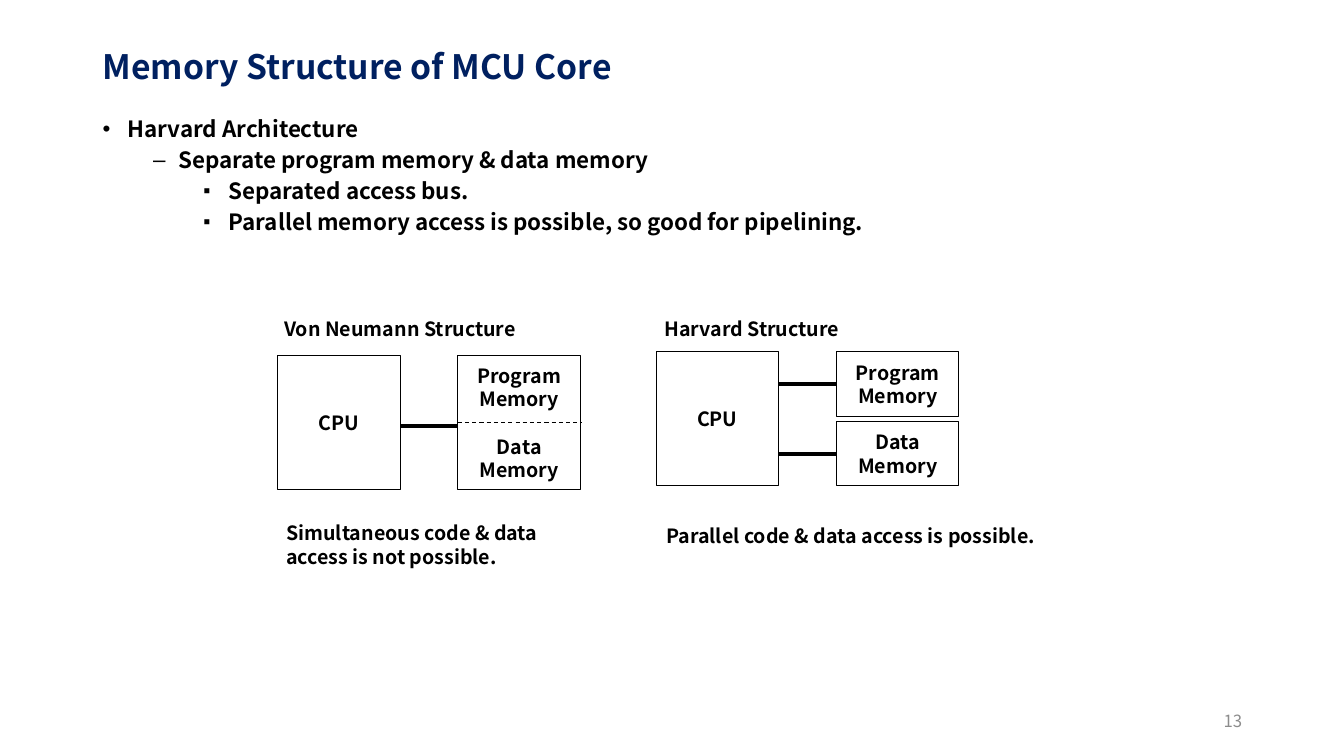
from dataclasses import dataclass
from lxml.etree import SubElement
from pptx import Presentation
from pptx.dml.color import RGBColor
from pptx.enum.dml import MSO_LINE
from pptx.enum.shapes import MSO_CONNECTOR, MSO_SHAPE
from pptx.enum.text import MSO_ANCHOR, PP_ALIGN
from pptx.oxml.ns import qn
from pptx.util import Inches, Pt


@dataclass(frozen=True)
class Theme:
    font: str = "Noto Sans CJK KR"
    ink: str = "000000"
    navy: str = "002060"
    gray: str = "8C8C8C"
    title: int = 24
    body: int = 16
    label: int = 14
    page: int = 12
    thin: float = 0.75
    bus: float = 2.75


THEME = Theme()
WIDE, HIGH = Inches(13.33), Inches(7.5)
COLS, ROWS = 133.3, 75


def cell(col, row):
    """Turn grid columns and rows into slide lengths."""
    return round(WIDE * col / COLS), round(HIGH * row / ROWS)


def write(par, text, size, color=THEME.ink, bold=True):
    run = par.add_run()
    run.text = text
    font = run.font
    font.name, font.size, font.bold = THEME.font, Pt(size), bold
    font.color.rgb = RGBColor.from_string(color)


def add_text(slide, area, text, size=THEME.label, color=THEME.ink, bold=True,
             align=PP_ALIGN.LEFT, anchor=MSO_ANCHOR.TOP):
    box = slide.shapes.add_textbox(*cell(*area[:2]), *cell(*area[2:]))
    frame = box.text_frame
    frame.word_wrap = True
    frame.vertical_anchor = anchor
    par = frame.paragraphs[0]
    par.alignment = align
    write(par, text, size, color, bold)
    return par


def add_list(slide, area, items):
    """Add bulleted items, each given as a level and its text."""
    box = slide.shapes.add_textbox(*cell(*area[:2]), *cell(*area[2:]))
    frame = box.text_frame
    frame.word_wrap = True
    marks = (("•", 100), ("–", 100), ("▪", 90))
    for i, (level, text) in enumerate(items):
        par = frame.add_paragraph() if i else frame.paragraphs[0]
        mark, share = marks[level]
        props = par._p.get_or_add_pPr()
        props.set("marL", str(cell(2.5 + 5 * level, 0)[0]))
        props.set("indent", str(-cell(2.5, 0)[0]))
        SubElement(props, qn("a:buSzPct")).set("val", str(share * 1000))
        SubElement(props, qn("a:buFont")).set("typeface", "Arial")
        SubElement(props, qn("a:buChar")).set("char", mark)
        par.level = level
        par.line_spacing = 0.9
        if i:
            par.space_before = Pt(5)
        write(par, text, THEME.body)


def add_block(slide, area, groups):
    """Add a framed box; groups of lines stand one blank line apart."""
    box = slide.shapes.add_shape(MSO_SHAPE.RECTANGLE,
                                 *cell(*area[:2]), *cell(*area[2:]))
    box.shadow.inherit = False
    box.fill.background()
    box.line.color.rgb = RGBColor.from_string(THEME.ink)
    box.line.width = Pt(THEME.thin)
    frame = box.text_frame
    frame.word_wrap = False
    frame.vertical_anchor = MSO_ANCHOR.MIDDLE
    for i, group in enumerate(groups):
        for j, text in enumerate(group):
            par = frame.add_paragraph() if i or j else frame.paragraphs[0]
            par.alignment = PP_ALIGN.CENTER
            if i and not j:
                par.space_before = Pt(17)
            write(par, text, THEME.label)


def add_line(slide, left, right, row, width, dash=None):
    line = slide.shapes.add_connector(MSO_CONNECTOR.STRAIGHT,
                                      *cell(left, row), *cell(right, row))
    line.line.color.rgb = RGBColor.from_string(THEME.ink)
    line.line.width = Pt(width)
    if dash:
        line.line.dash_style = dash
    SubElement(line._element.spPr, qn("a:effectLst"))


def add_scheme(slide, left, top, width, stores, buses):
    """Draw a CPU joined by buses to a column of memory boxes."""
    high, gap = 13.3, 0.5
    store = left + 17.9
    tall = (high - gap * (len(stores) - 1)) / len(stores)
    add_block(slide, (left, top, width, high), [["CPU"]])
    for i, groups in enumerate(stores):
        add_block(slide, (store, top + i * (tall + gap), width, tall), groups)
    for row in buses:
        add_line(slide, left + width, store, row, THEME.bus)


def main():
    deck = Presentation()
    deck.slide_width, deck.slide_height = WIDE, HIGH
    slide = deck.slides.add_slide(deck.slide_layouts[6])

    title = add_text(slide, (9.2, 4.5, 115, 4.7), "Memory Structure of MCU Core",
                     THEME.title, THEME.navy, anchor=MSO_ANCHOR.MIDDLE)
    title.line_spacing = 0.9
    add_list(slide, (9.2, 11.2, 115, 56.4), [
        (0, "Harvard Architecture"),
        (1, "Separate program memory & data memory"),
        (2, "Separated access bus."),
        (2, "Parallel memory access is possible, so good for pipelining."),
    ])

    code, data = ["Program", "Memory"], ["Data", "Memory"]
    add_scheme(slide, 27.5, 35.3, 12.2, [[code, data]], [42.3])
    add_line(slide, 45.4, 57.6, 41.9, THEME.thin, MSO_LINE.DASH)
    add_scheme(slide, 65.1, 34.9, 12.1, [[code], [data]], [38.1, 45])

    add_text(slide, (27.2, 30.9, 30.1, 3.4), "Von Neumann Structure")
    add_text(slide, (64.9, 30.9, 30.1, 3.4), "Harvard Structure")
    add_text(slide, (27.4, 51.2, 32.6, 5.7),
             "Simultaneous code & data access is not possible.")
    add_text(slide, (65.1, 51.5, 41.6, 3.4),
             "Parallel code & data access is possible.")
    add_text(slide, (94.2, 69.5, 30, 4), "13", THEME.page, THEME.gray, False,
             PP_ALIGN.RIGHT, MSO_ANCHOR.MIDDLE)
    deck.save("out.pptx")


if __name__ == "__main__":
    main()
